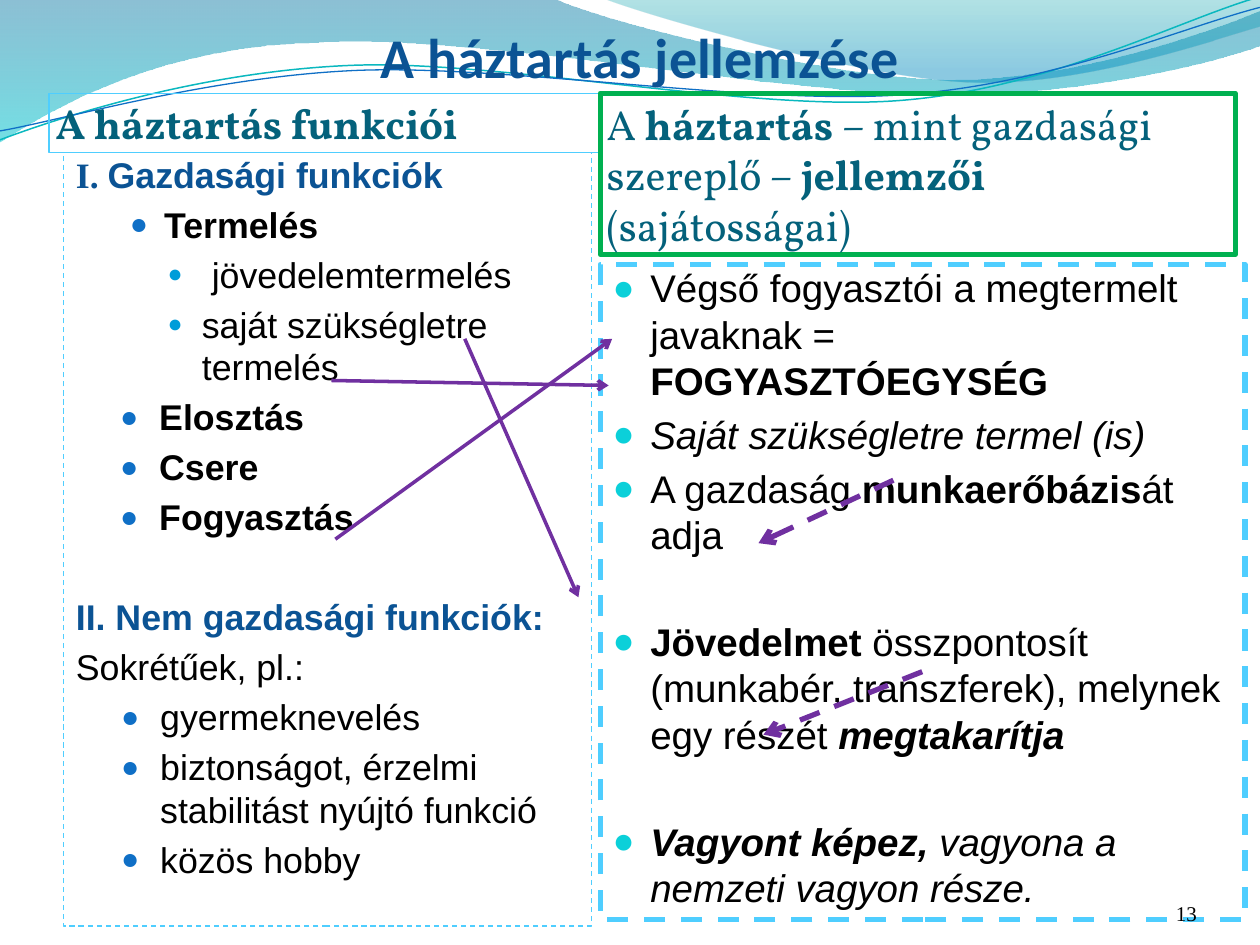
import pptx
import pptx.util
import pptx.dml.color
import pptx.enum.dml
import pptx.enum.shapes
import pptx.enum.text
import pptx.oxml.ns
import lxml.etree

Cm = pptx.util.Cm
Pt = pptx.util.Pt
DASH = pptx.enum.dml.MSO_LINE.DASH
ANCHOR = pptx.enum.text.MSO_ANCHOR
ALIGN = pptx.enum.text.PP_ALIGN
qn = pptx.oxml.ns.qn


def rgb(value):
    return pptx.dml.color.RGBColor.from_string(value)


def add(parent, tag, **attrs):
    return lxml.etree.SubElement(parent, qn(tag), attrs)


prs = pptx.Presentation()
prs.slide_width, prs.slide_height = Cm(25.4), Cm(19.05)
s = prs.slides.add_slide(prs.slide_layouts[4])

waves = [
    ((0, 0), [(11.18, -0.02), (12.09, 0.43, 16.87, 1.6, 19.25, 1.6),
              (21.67, 1.6, 24.33, 0.66, 25.4, 0.23), (25.43, 0.91),
              (24.97, 1.12, 22.1, 1.93, 18.95, 1.91),
              (15.8, 1.91, 9.7, 0.71, 6.53, 0.86),
              (3.28, 0.91, 1.17, 2.11, -0.03, 2.87)],
     [(0, "0074A1", 45), (1, "00C6CF", 55)], None),
    ((12.17, -0.03), [(12.93, 0.28, 17.32, 1.57, 19.53, 1.65),
                      (21.74, 1.75, 24.41, 0.81, 25.4, 0.53), (25.4, 0)],
     [(0, "00A1A9", 30), (0.8, "008BBF", 45)], None),
    ((0, 2.82), [(1.22, 2.36, 4.01, 1.45, 7.04, 1.32),
                 (10.03, 1.19, 15.06, 2.26, 18.11, 2.03),
                 (21.16, 1.8, 23.83, 0.38, 25.35, -0.05)],
     None, ("0AB8BF", 0.85)),
    ((0, 2.64), [(1.19, 2.44, 4.17, 1.55, 7.19, 1.42),
                 (10.24, 1.3, 15.16, 2.13, 18.21, 1.91),
                 (21.23, 1.7, 23.9, 0.53, 25.4, 0.15)],
     None, ("0F6FC6", 0.75)),
]
for i, (start, segments, stops, line) in enumerate(waves):
    points = [(Cm(x), Cm(y)) for seg in segments for x, y in zip(seg[::2], seg[1::2])]
    fb = s.shapes.build_freeform(Cm(start[0]), Cm(start[1]))
    fb.add_line_segments(points, close=stops is not None)
    sp = fb.convert_to_shape()
    sp.shadow.inherit = False
    nodes = iter(list(sp._element.iter(qn("a:lnTo"))))
    for seg in segments:
        node = next(nodes)
        if len(seg) == 6:
            curve = lxml.etree.Element(qn("a:cubicBezTo"))
            node.addprevious(curve)
            for n in (node, next(nodes), next(nodes)):
                curve.append(n[0])
                n.getparent().remove(n)
    if stops:
        sp.fill.gradient()
        sp.fill.gradient_angle = 270
        for stop, (position, colour, alpha) in zip(sp.fill.gradient_stops, stops):
            stop.position = position
            stop.color.rgb = rgb(colour)
        for clr, (position, colour, alpha) in zip(sp._element.spPr.iter(qn("a:srgbClr")), stops):
            add(clr, "a:alpha", val=str(alpha * 1000))
        sp.line.fill.background()
    else:
        sp.fill.background()
        sp.line.color.rgb = rgb(line[0])
        sp.line.width = Pt(line[1])
    s.shapes._spTree.insert(2 + i, sp._element)

kinds = {
    "plain": (0, 0, 0, None, 0),
    "first": (1, 1.78, -0.69, "0F6FC6", 85),
    "second": (2, 2.54, -0.69, "009DD9", 70),
    "item": (1, 1.68, -0.79, "0F6FC6", 85),
    "example": (1, 1.7, -0.79, "0F6FC6", 85),
    "main": (0, 0.76, -0.76, "0BD0D9", 95),
}
black, blue, teal = "000000", "0B5394", "04617B"
functions = [
    ("plain", 4.1, blue, [("I. ", "bt"), ("Gazdasági funkciók", "b")]),
    ("first", 4.1, black, [("Termelés", "b")]),
    ("second", 4.1, black, [(" jövedelemtermelés", "")]),
    ("second", 4.1, black, [("saját szükségletre termelés", "")]),
    ("item", 4.1, black, [("Elosztás", "b")]),
    ("item", 4.1, black, [("Csere", "b")]),
    ("item", 4.1, black, [("Fogyasztás", "b")]),
    ("plain", 32.6, blue, [("II. Nem gazdasági funkciók:", "b")]),
    ("plain", 4.1, black, [("Sokrétűek, pl.:", "")]),
    ("example", 4.1, black, [("gyermeknevelés", "")]),
    ("example", 4.1, black, [("biztonságot, érzelmi stabilitást nyújtó funkció", "")]),
    ("example", 4.1, black, [("közös hobby", "")]),
]
features = [
    ("main", 4.4, black, [("Végső fogyasztói a megtermelt javaknak = ", ""),
                          ("FOGYASZTÓEGYSÉG", "b")]),
    ("main", 4.4, black, [("Saját szükségletre termel (is)", "i")]),
    ("main", 4.4, black, [("A gazdaság ", ""), ("munkaerőbázis", "b"), ("át adja", "")]),
    ("main", 35, black, [("Jövedelmet", "b"),
                         (" összpontosít (munkabér, transzferek), melynek egy részét ", ""),
                         ("megtakarítja", "bi")]),
    ("main", 35, black, [("Vagyont képez, ", "bi"),
                         ("vagyona a nemzeti vagyon része.", "i")]),
]
feature_title = [("A ", ""), ("háztartás ", "b"), ("– mint gazdasági szereplő – ", ""),
                 ("jellemzői ", "b"), ("(sajátosságai)", "")]
head, body = (0.13, 0, 0.13, 0), (0.25, 0, 0.25, 0.13)
boxes = [
    (0, (1.47, 0.25, 22.86, 1.55), None, ANCHOR.BOTTOM, (0, 0.13, 0, 0), "Calibri", 32,
     [("plain", 0, blue, [("A háztartás jellemzése", "b")])]),
    (1, (0.99, 1.88, 11.13, 1.19), ("4FCEFF", 0.75, None), ANCHOR.MIDDLE, head, "Vollkorn", 24,
     [("plain", 0, teal, [("A háztartás funkciói", "b")])]),
    (3, (12.1, 1.88, 12.8, 3.25), ("00B050", 3, None), ANCHOR.MIDDLE, head, "Vollkorn", 24,
     [("plain", 0, teal, feature_title)]),
    (2, (1.28, 3.07, 10.64, 15.6), ("4FCEFF", 0.75, DASH), ANCHOR.TOP, body, "Arial", 20.4,
     functions),
    (4, (12.1, 5.33, 13, 13.21), ("4FCEFF", 3, DASH), ANCHOR.TOP, body, "Arial", 22, features),
    (None, (22.02, 17.65, 2.11, 1.02), None, ANCHOR.BOTTOM, (0, 0, 0, 0), "Times New Roman", 12,
     [("plain", 0, black, [("13", "")])]),
]
for idx, place, line, anchor, insets, font, size, paragraphs in boxes:
    place = [Cm(v) for v in place]
    if idx is None:
        sp = s.shapes.add_textbox(*place)
    else:
        sp = s.placeholders[idx]
        sp.left, sp.top, sp.width, sp.height = place
    if line:
        sp.line.color.rgb = rgb(line[0])
        sp.line.width = Pt(line[1])
        sp.line.dash_style = line[2]
    tf = sp.text_frame
    tf.word_wrap = True
    tf.auto_size = pptx.enum.text.MSO_AUTO_SIZE.NONE
    tf.vertical_anchor = anchor
    tf.margin_left, tf.margin_top, tf.margin_right, tf.margin_bottom = [Cm(v) for v in insets]
    for i, (kind, space, colour, runs) in enumerate(paragraphs):
        p = tf.add_paragraph() if i else tf.paragraphs[0]
        level, left, indent, bullet, percent = kinds[kind]
        p.level = level
        p.alignment = {0: ALIGN.CENTER, None: ALIGN.RIGHT}.get(idx, ALIGN.LEFT)
        p.space_before = Pt(space)
        pPr = p._p.get_or_add_pPr()
        pPr.set("marL", str(Cm(left)))
        pPr.set("indent", str(Cm(indent)))
        if bullet:
            add(add(pPr, "a:buClr"), "a:srgbClr", val=bullet)
            add(pPr, "a:buSzPct", val=str(percent * 1000))
            add(pPr, "a:buFont", typeface="Arial")
            add(pPr, "a:buChar", char="●")
        else:
            add(pPr, "a:buNone")
        for text, style in runs:
            r = p.add_run()
            r.text = text
            r.font.name = "Times New Roman" if "t" in style else font
            r.font.size = Pt(size)
            r.font.bold = "b" in style
            r.font.italic = "i" in style
            r.font.color.rgb = rgb(colour)

arrows = [
    (6.68, 7.67, 12.27, 7.77, 2, None),
    (18.01, 9.68, 15.29, 10.95, 3, DASH),
    (6.76, 10.87, 12.34, 6.83, 2, None),
    (9.37, 6.83, 11.66, 12.04, 2, None),
    (18.59, 13.54, 15.39, 14.81, 3, DASH),
]
for x1, y1, x2, y2, width, dash in arrows:
    c = s.shapes.add_connector(pptx.enum.shapes.MSO_CONNECTOR.STRAIGHT,
                               Cm(x1), Cm(y1), Cm(x2), Cm(y2))
    c.line.color.rgb = rgb("7030A0")
    c.line.width = Pt(width)
    c.line.dash_style = dash
    add(c._element.spPr.find(qn("a:ln")), "a:tailEnd", type="arrow")
    add(c._element.spPr, "a:effectLst")

prs.save("out.pptx")
